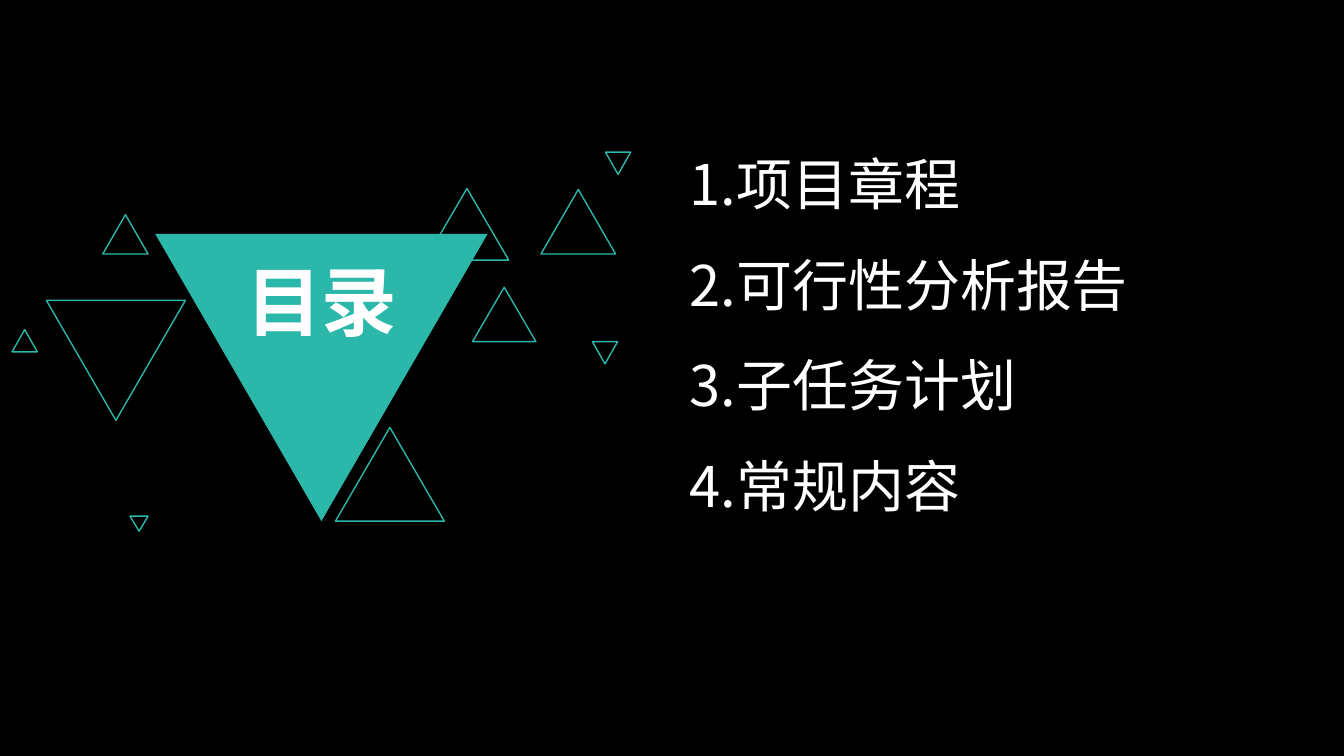
import pptx
import pptx.util
import pptx.dml.color
import pptx.enum.shapes
import pptx.enum.text
from lxml import etree
from pptx.util import Inches

TITLE = "目录"
ITEMS = ["1.项目章程", "2.可行性分析报告", "3.子任务计划", "4.常规内容"]

# left, top, width, height, points down
MAIN = (1.54, 2.32, 3.3, 2.85, True)
FRAMES = [
    (0.46, 2.98, 1.38, 1.19, True),
    (3.33, 4.24, 1.08, 0.93, False),
    (4.22, 1.87, 0.83, 0.71, False),
    (4.69, 2.85, 0.63, 0.54, False),
    (1.02, 2.13, 0.45, 0.39, False),
    (0.12, 3.27, 0.25, 0.22, False),
    (5.88, 3.39, 0.25, 0.22, True),
    (1.29, 5.12, 0.18, 0.15, True),
    (5.37, 1.88, 0.74, 0.64, False),
    (6.01, 1.51, 0.25, 0.22, True),
]

FONT = "Noto Sans CJK SC"
BLACK = pptx.dml.color.RGBColor(0x00, 0x00, 0x00)
WHITE = pptx.dml.color.RGBColor(0xFF, 0xFF, 0xFF)
TEAL = pptx.dml.color.RGBColor(0x2B, 0xB8, 0xAA)


def add_tri(slide, left, top, width, height, down, solid=False):
    kind = pptx.enum.shapes.MSO_SHAPE.ISOSCELES_TRIANGLE
    tri = slide.shapes.add_shape(kind, *map(Inches, (left, top, width, height)))
    tri.shadow.inherit = False
    tri.rotation = 180 if down else 0
    if solid:
        tri.fill.solid()
        tri.fill.fore_color.rgb = TEAL
        tri.line.fill.background()
    else:
        tri.fill.background()
        tri.line.color.rgb = TEAL
        tri.line.width = pptx.util.Pt(1)


def add_text(slide, box, lines, size, bold=False, align=None, space=None):
    frame = slide.shapes.add_textbox(*map(Inches, box)).text_frame
    frame.word_wrap = True
    frame.text = "\n".join(lines)
    for para in frame.paragraphs:
        para.alignment = align
        para.line_spacing = space
        for run in para.runs:
            run.font.size = pptx.util.Pt(size)
            run.font.bold = bold
            run.font.name = FONT
            run.font.color.rgb = WHITE
            east = etree.SubElement(run.font._element, pptx.oxml.ns.qn("a:ea"))
            east.set("typeface", FONT)


def main():
    deck = pptx.Presentation()
    deck.slide_width, deck.slide_height = Inches(13.34), Inches(7.5)
    slide = deck.slides.add_slide(deck.slide_layouts[6])
    slide.background.fill.solid()
    slide.background.fill.fore_color.rgb = BLACK

    add_tri(slide, *MAIN, solid=True)
    for spot in FRAMES:
        add_tri(slide, *spot)
    add_text(slide, (0.68, 2.48, 5.03, 1.01), [TITLE], 54, bold=True,
             align=pptx.enum.text.PP_ALIGN.CENTER)
    add_text(slide, (6.75, 1.1, 5.44, 4.59), ITEMS, 40, space=1.5)
    deck.save("out.pptx")


if __name__ == "__main__":
    main()
